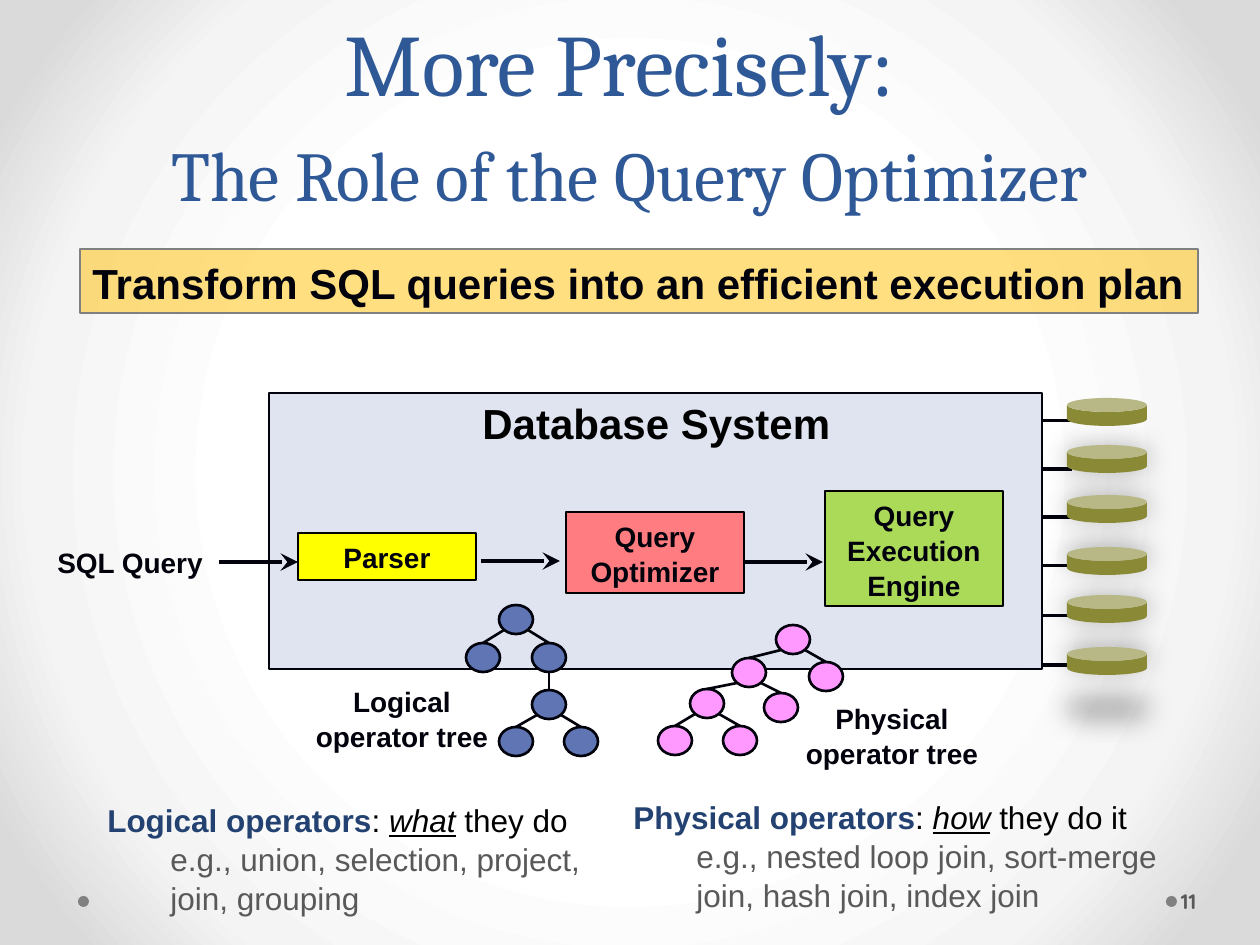
from lxml.etree import SubElement
from pptx import Presentation
from pptx.dml.color import RGBColor
from pptx.enum.shapes import MSO_CONNECTOR, MSO_SHAPE
from pptx.enum.text import MSO_ANCHOR, PP_ALIGN
from pptx.oxml import parse_xml
from pptx.oxml.ns import nsdecls, qn
from pptx.util import Emu, Pt

INK = "01020B"
GREY = "595959"
BOLD = {"name": "Arial", "size": 16, "bold": True, "color": INK}
HEADING = {**BOLD, "size": 24}
PLAIN = {"name": "Arial", "size": 18, "color": "000000"}
CENTER = {"alignment": PP_ALIGN.CENTER}
NODE_WIDTH, NODE_HEIGHT = 34, 29


def px(value):
    return Emu(round(value * 914400 / 126))


def color(value):
    return RGBColor.from_string(value)


def paint_background(page):
    page.background.fill.solid()
    properties = page.background._cSld.bg.bgPr
    stops = "".join(
        f'<a:gs pos="{place}000"><a:srgbClr val="{shade}"/></a:gs>'
        for place, shade in ((50, "FFFFFF"), (76, "F4F4F4"), (92, "DADADA"))
    )
    gradient = parse_xml(
        f'<a:gradFill {nsdecls("a")} rotWithShape="1"><a:gsLst>{stops}</a:gsLst>'
        '<a:path path="circle"><a:fillToRect l="50000" t="50000" r="50000" b="50000"/>'
        "</a:path></a:gradFill>"
    )
    properties.replace(properties.find(qn("a:solidFill")), gradient)


def add_span(para, text, style):
    span = para.add_run()
    span.text = text
    for key, value in style.items():
        if key == "color":
            span.font.color.rgb = color(value)
        else:
            setattr(span.font, key, Pt(value) if key == "size" else value)


def format_paragraph(para, layout):
    for key, value in {"line_spacing": 1.04, **layout}.items():
        setattr(para, key, value)


def write(shape, spans, layout={}, frame={}):
    for key, value in {"word_wrap": True, "vertical_anchor": MSO_ANCHOR.TOP, **frame}.items():
        setattr(shape.text_frame, key, value)
    para = shape.text_frame.paragraphs[0]
    format_paragraph(para, layout)
    for text, style in spans:
        add_span(para, text, style)
    return para


def add_box(page, area, spans, layout={}, frame={}):
    box = page.shapes.add_textbox(*map(px, area))
    write(box, spans, layout, frame)
    return box


def add_shape(page, kind, area, fill, line=None, weight=1.5):
    shape = page.shapes.add_shape(kind, *map(px, area))
    shape.shadow.inherit = False
    shape.fill.solid()
    shape.fill.fore_color.rgb = color(fill)
    if line:
        shape.line.color.rgb = color(line)
        shape.line.width = Pt(weight)
    else:
        shape.line.fill.background()
    return shape


def add_line(page, start, end, weight=1.5, arrow=False):
    line = page.shapes.add_connector(MSO_CONNECTOR.STRAIGHT, *map(px, (*start, *end)))
    line.line.color.rgb = color(INK)
    line.line.width = Pt(weight)
    if arrow:
        SubElement(line.line._get_or_add_ln(), qn("a:tailEnd"), type="stealth", w="lg", len="lg")
    SubElement(line._element.spPr, qn("a:effectLst"))


def add_title(page):
    style = {"name": "Cambria", "color": "2F5897"}
    title = page.shapes.add_textbox(*map(px, (16, 96, 1226, 126)))
    para = write(title, [("More Precisely: ", {**style, "size": 50})],
                 {**CENTER, "line_spacing": Pt(58)}, {"vertical_anchor": MSO_ANCHOR.BOTTOM})
    para.add_line_break()
    add_span(para, "The Role of the Query Optimizer", {**style, "size": 40})


def add_banner(page):
    banner = add_shape(page, MSO_SHAPE.RECTANGLE, (80, 249, 1118, 64), "FFC000", "808080", 0.75)
    fill = banner._element.spPr.find(qn("a:solidFill"))
    SubElement(fill[0], qn("a:alpha"), val="50000")
    write(banner, [("Transform SQL queries into an efficient execution plan", HEADING)],
          {"alignment": PP_ALIGN.LEFT}, {"word_wrap": False})


def add_disk(page, top):
    disk = add_shape(page, MSO_SHAPE.CAN, (1067, top, 80, 28), "8A8A36")
    disk.adjustments[0] = 0.5
    effects = disk._element.spPr.find(qn("a:effectLst"))
    shadow = SubElement(effects, qn("a:outerShdw"), blurRad=str(Pt(15)), dist=str(Pt(27)),
                        dir="5400000", rotWithShape="0")
    shade = SubElement(shadow, qn("a:srgbClr"), val="000000")
    SubElement(shade, qn("a:alpha"), val="27000")


def add_stage(page, area, fill, name):
    stage = add_shape(page, MSO_SHAPE.RECTANGLE, area, fill, "000000")
    write(stage, [(name, BOLD)], CENTER)


def add_tree(page, nodes, edges, fill):
    for left, top in nodes:
        add_shape(page, MSO_SHAPE.OVAL, (left, top, NODE_WIDTH, NODE_HEIGHT), fill, INK)
    for parent, child in edges:
        (left, top), (child_left, child_top) = nodes[parent], nodes[child]
        side = (child_left > left) - (child_left < left)
        start = (left + NODE_WIDTH // 2 + 12 * side, top + (25 if side else NODE_HEIGHT))
        add_line(page, start, (child_left + NODE_WIDTH // 2, child_top))


def add_operators(page, area, name, verb, ending, examples):
    box = add_box(page, area, [
        (name, {**PLAIN, "bold": True, "color": "234271"}),
        (": ", PLAIN),
        (verb, {**PLAIN, "italic": True, "underline": True}),
        (ending, PLAIN),
    ])
    para = box.text_frame.add_paragraph()
    format_paragraph(para, {"level": 1})
    properties = para._p.get_or_add_pPr()
    properties.set("marL", str(px(63)))
    properties.set("indent", "0")
    add_span(para, examples, {**PLAIN, "color": GREY})


def main():
    deck = Presentation()
    deck.slide_width, deck.slide_height = px(1260), px(945)
    page = deck.slides.add_slide(deck.slide_layouts[6])
    paint_background(page)
    for left in (1166, 78):
        add_shape(page, MSO_SHAPE.OVAL, (left, 896, 11, 11), "808080")

    add_shape(page, MSO_SHAPE.RECTANGLE, (269, 393, 773, 276), "DFE4F0", INK, 1)
    for height in (421, 469, 517, 566, 616, 665):
        add_line(page, (1072, height), (1043, height), 1.75)
    for top in (398, 445, 495, 547, 595, 647):
        add_disk(page, top)
    add_box(page, (470, 389, 377, 63), [("Database System", {**HEADING, "color": "000000"})],
            frame={"word_wrap": False})

    add_title(page)
    add_box(page, (1177, 876, 77, 50),
            [("11", {"name": "Quicksand", "size": 12, "bold": True, "color": GREY})],
            frame={"vertical_anchor": MSO_ANCHOR.MIDDLE, "margin_left": px(4), "margin_right": px(6)})
    add_banner(page)

    add_stage(page, (825, 491, 178, 115), "ABD958", "Query Execution Engine")
    add_stage(page, (566, 512, 178, 81), "FF7C80", "Query Optimizer")
    add_stage(page, (298, 533, 178, 47), "FFFF00", "Parser")
    add_box(page, (45, 538, 173, 81), [("SQL Query", BOLD)], frame={"word_wrap": False})
    for left, height in ((219, 562), (481, 561), (744, 562)):
        add_line(page, (left, height), (left + 79, height), 2, True)

    add_tree(page, [(499, 605), (466, 643), (532, 643), (532, 690), (499, 727), (564, 727)],
             [(0, 1), (0, 2), (2, 3), (3, 4), (3, 5)], "6076B4")
    add_tree(page, [(776, 625), (732, 658), (809, 662), (690, 689), (764, 693), (658, 726), (723, 726)],
             [(0, 1), (0, 2), (1, 3), (1, 4), (3, 5), (3, 6)], "FF99FF")
    add_box(page, (300, 677, 204, 81), [("Logical operator tree", BOLD)], CENTER)
    add_box(page, (790, 694, 204, 81), [("Physical operator tree", BOLD)], CENTER)

    add_operators(page, (95, 793, 557, 127), "Logical operators", "what", " they do",
                  "e.g., union, selection, project, join, grouping")
    add_operators(page, (621, 790, 567, 127), "Physical operators", "how", " they do it",
                  "e.g., nested loop join, sort-merge join, hash join, index join")
    deck.save("out.pptx")


if __name__ == "__main__":
    main()
